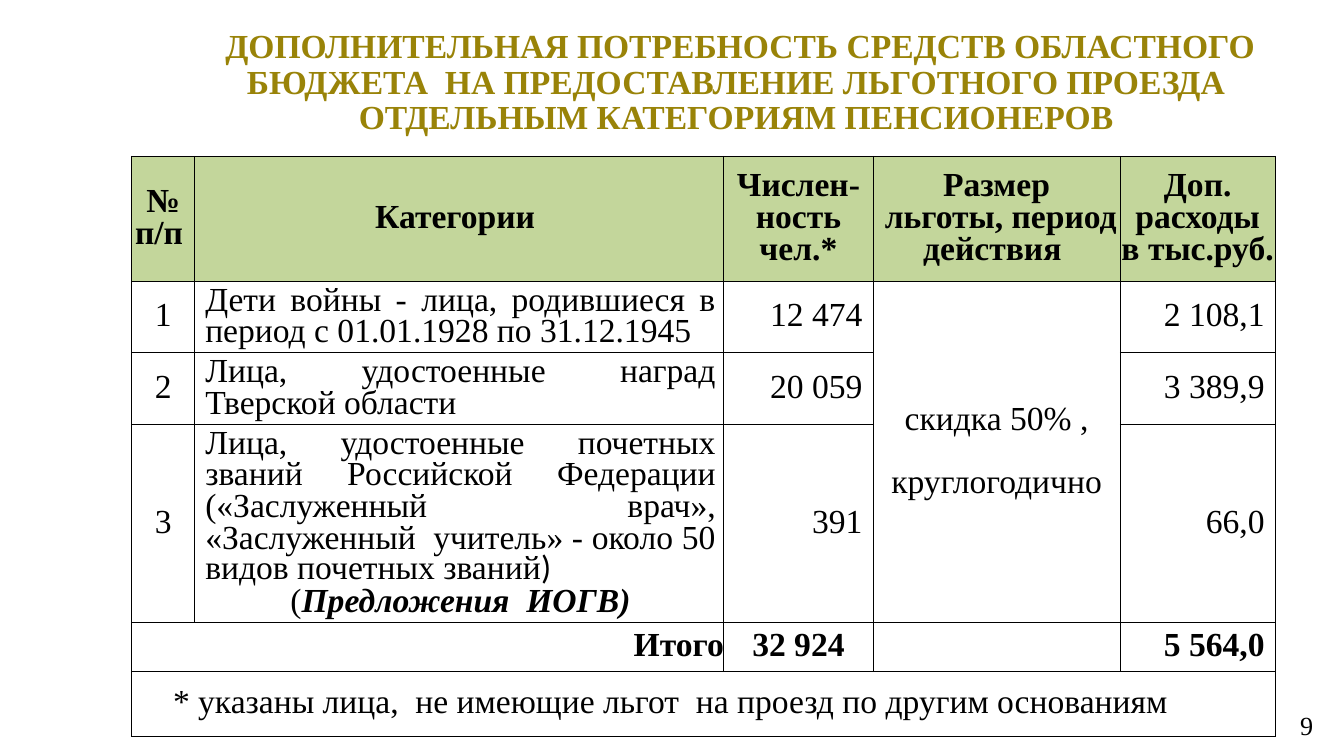
from lxml.etree import SubElement
from pptx import Presentation
from pptx.dml.color import RGBColor
from pptx.enum.text import MSO_ANCHOR, PP_ALIGN
from pptx.oxml.ns import qn
from pptx.util import Cm, Pt

L, C, R, J = PP_ALIGN.LEFT, PP_ALIGN.CENTER, PP_ALIGN.RIGHT, PP_ALIGN.JUSTIFY
PLAIN = {"name": "Times New Roman", "size": Pt(18), "bold": False, "italic": False}
BOLD = {"bold": True}


def tint(target, code):
    target.rgb = RGBColor.from_string(code)


def write(frame, paras, align, look, color="000000", line=17):
    """Fill a text frame; a paragraph is a string or a list of (text, look) runs."""
    for i, runs in enumerate(paras):
        para = frame.paragraphs[0] if i == 0 else frame.add_paragraph()
        para.alignment = align
        para.line_spacing = Pt(line)
        if isinstance(runs, str):
            runs = [(runs, {})]
        for text, extra in runs:
            for n, part in enumerate(text.split("\n")):
                if n:
                    para.add_line_break()
                run = para.add_run()
                run.text = part
                for key, val in {**PLAIN, **look, **extra}.items():
                    setattr(run.font, key, val)
                tint(run.font.color, color)


deck = Presentation()
deck.slide_width, deck.slide_height = Cm(25.4), Cm(14.28)
slide = deck.slides.add_slide(deck.slide_layouts[6])

# Title and page number
title = ("ДОПОЛНИТЕЛЬНАЯ ПОТРЕБНОСТЬ СРЕДСТВ ОБЛАСТНОГО БЮДЖЕТА  НА ПРЕДОСТАВЛЕНИЕ "
         "ЛЬГОТНОГО ПРОЕЗДА  ОТДЕЛЬНЫМ КАТЕГОРИЯМ ПЕНСИОНЕРОВ ")
texts = [
    ((3.1, 0.61, 21.79, 1.93), title, C, BOLD, "998308", 19),
    ((19.35, 13.31, 5.72, 0.76), "9", R, {"size": Pt(14)}, "000000", 17),
]
for place, text, align, look, color, line in texts:
    frame = slide.shapes.add_textbox(*map(Cm, place)).text_frame
    frame.word_wrap = True
    frame.vertical_anchor = MSO_ANCHOR.MIDDLE
    write(frame, [text], align, look, color, line)

# Table grid
cols = [1.19, 10, 2.82, 4.67, 2.93]
rows = [2.36, 1.34, 1.34, 3.74, 0.84, 1.24]
table = slide.shapes.add_table(len(rows), len(cols), Cm(2.49), Cm(2.95),
                               Cm(sum(cols)), Cm(sum(rows))).table
for col, width in zip(table.columns, cols):
    col.width = Cm(width)
for row, height in zip(table.rows, rows):
    row.height = Cm(height)

# Cell fill, margins and borders
for r in range(len(rows)):
    for c in range(len(cols)):
        cell = table.cell(r, c)
        pad = 0.2 if 0 < r < 5 and c else 0
        for key, val in {"margin_left": pad, "margin_right": pad,
                         "margin_top": 0.1, "margin_bottom": 0.05}.items():
            setattr(cell, key, Cm(val))
        cell.vertical_anchor = MSO_ANCHOR.MIDDLE
        props = cell._tc.get_or_add_tcPr()
        for side in ("lnL", "lnR", "lnT", "lnB"):
            edge = SubElement(props, qn("a:" + side), w=str(Pt(0.5)))
            SubElement(SubElement(edge, qn("a:solidFill")), qn("a:srgbClr"), val="000000")
        cell.fill.solid()
        tint(cell.fill.fore_color, "FFFFFF" if r else "C3D69B")

# Header
heads = [
    ["№\nп/п "],
    ["Категории "],
    ["Числен-ность", " чел.* "],
    ["Размер", " льготы, период действия "],
    ["Доп.", "расходы", "в тыс.руб."],
]
for c, head in enumerate(heads):
    write(table.cell(0, c).text_frame, head, C, BOLD)

# Categories
honours = ("Лица, удостоенные почетных званий Российской Федерации («Заслуженный  врач», "
           "«Заслуженный  учитель» - около 50 видов почетных званий")
items = [
    (["Дети войны - лица, родившиеся в период с 01.01.1928 по 31.12.1945 "],
     "12 474", "2 108,1"),
    (["Лица, удостоенные наград Тверской области"], "20 059", "3\u00a0389,9".replace("\u00a0", " ")),
    ([[(honours, {}), (")", {"name": "Calibri"})],
      [("(", {}), ("Предложения  ИОГВ)", {"bold": True, "italic": True})]],
     "391", "66,0"),
]
for r, (name, count, cost) in enumerate(items, 1):
    for c, paras, align in [(0, [str(r)], C), (1, name, J), (2, [count], R), (4, [cost], R)]:
        write(table.cell(r, c).text_frame, paras, align, {})
    table.cell(r, 1).margin_right = Cm(0.15)
table.cell(3, 1).text_frame.paragraphs[1].alignment = C

# Shared discount
terms = table.cell(1, 3)
terms.merge(table.cell(3, 3))
write(terms.text_frame, ["скидка 50% ,", "круглогодично"], C, {})
terms.text_frame.paragraphs[1].space_before = Pt(17)

# Totals
total = table.cell(4, 0)
total.merge(table.cell(4, 1))
for c, text, align in [(0, "Итого", R), (2, "32 924", C), (3, "", C), (4, "5 564,0", R)]:
    write(table.cell(4, c).text_frame, [text], align, BOLD)

# Footnote
note = table.cell(5, 0)
note.merge(table.cell(5, 4))
note.margin_left = Cm(0.78)
write(note.text_frame, ["* указаны лица,  не имеющие льгот  на проезд по другим основаниям"], L, {})

deck.save("out.pptx")
